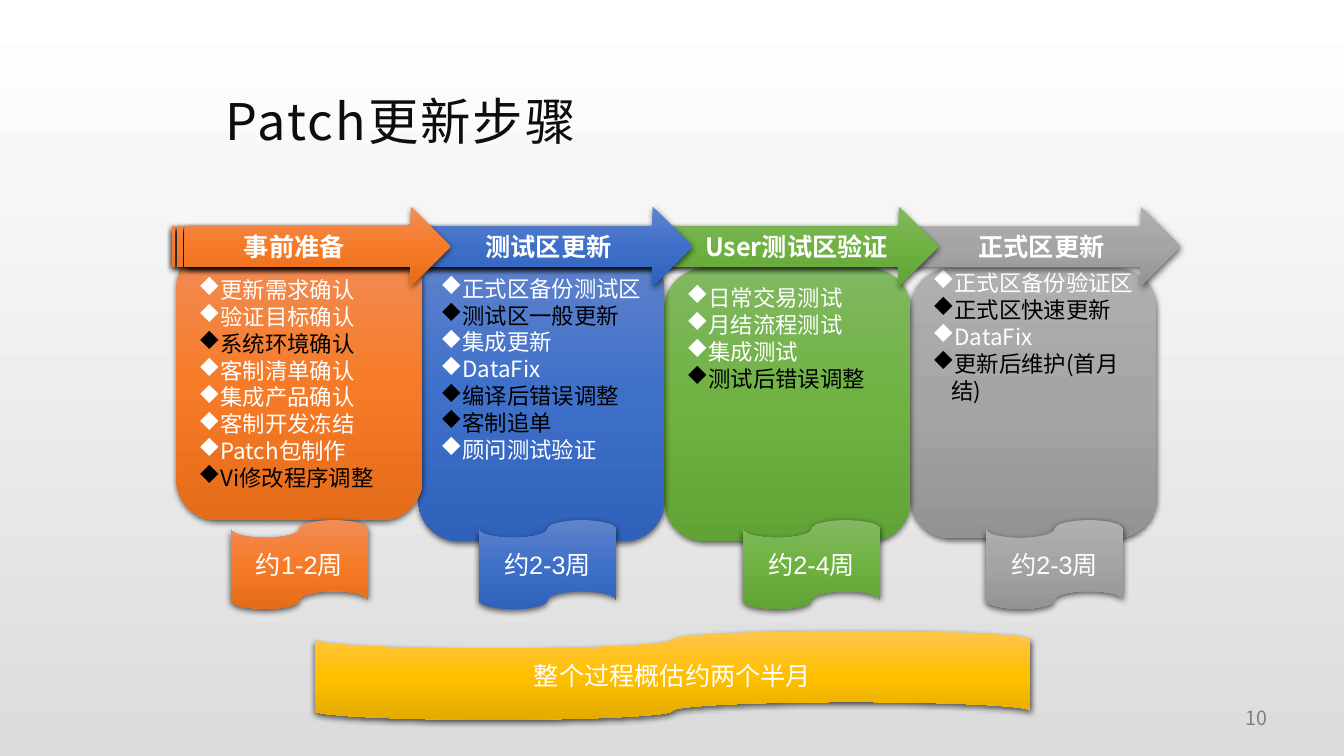
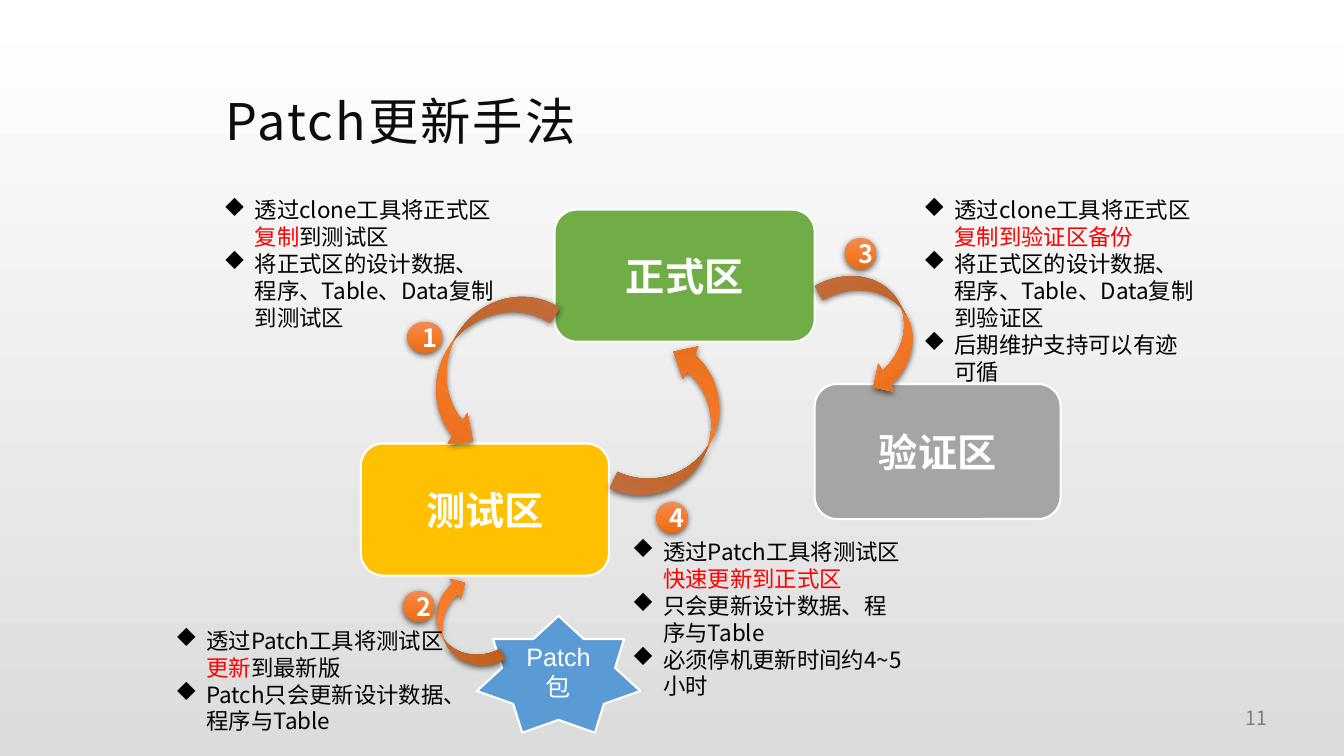
from lxml import etree
from pptx import Presentation
from pptx import util as u
from pptx.dml.color import RGBColor
from pptx.enum import shapes, text
from pptx.oxml.ns import qn

W, H = 13.33, 7.5
SC, TC, ARIAL = "Noto Sans CJK SC", "Noto Sans CJK TC", "Arial"
LINE = 0.265
C = {
    "white": "FFFFFF", "black": "000000", "ink": "0D0D0D", "red": "FF0000",
    "muted": "7F7F7F", "page": "DCDCDC", "green": "70AD47",
    "amber": "FFC000", "grey": "A5A5A5", "blue": "5B9BD5",
}
GRAD = {
    "page": [C["white"], C["page"]],
    "orange": ["F18C57", "F67B28", "E56C19"],
    "blue": ["6183CB", "3E70CA", "3062BB"],
    "green": ["81B861", "6FB242", "62A336"],
    "grey": ["AFAFAF", "A5A5A5", "939393"],
    "amber": ["FFC64B", "FFC000", "E3AB00"],
}
S = shapes.MSO_SHAPE
AL = text.PP_ALIGN
MIDDLE = text.MSO_ANCHOR.MIDDLE

STEPS = [
    dict(name="事前准备", color="orange", card=(0.04, 0.4, 2.71), tip=2.76, label=1.21,
         tape=0.58, time="约1-2周", spare=0,
         items=["更新需求确认", "验证目标确认", "|系统环境确认", "客制清单确认",
                "集成产品确认", "客制开发冻结", "Patch包制作", "|Vi修改程序调整"]),
    dict(name="测试区更新", color="blue", card=(0, 0.43, 2.89), tip=5.16, label=1.29,
         tape=0.6, time="约2-3周", spare=2,
         items=["正式区备份测试区", "|测试区一般更新", "集成更新", "DataFix",
                "|编译后错误调整", "|客制追单", "顾问测试验证"]),
    dict(name="User测试区验证", color="green", card=(0, 0.61, 2.71), tip=7.6, label=1.31,
         tape=0.78, time="约2-4周", spare=5,
         items=["日常交易测试", "月结流程测试", "集成测试", "|测试后错误调整"]),
    dict(name="正式区更新", color="grey", card=(0, 0.61, 2.68), tip=10, label=1.3,
         tape=0.75, time="约2-3周", spare=5,
         items=["正式区备份验证区", "|正式区快速更新", "DataFix", "|更新后维护(首月结)"]),
]

ZONES = [
    ("正式区", "green", (3.9, 0.18, 2.58, 1.31)),
    ("测试区", "amber", (1.98, 2.5, 2.46, 1.31)),
    ("验证区", "grey", (6.48, 1.91, 2.44, 1.34)),
]
ARROWS = [
    (S.CURVED_RIGHT_ARROW, (2.82, 0.82, 0.71, 1.76), 33, 0.28),
    (S.CURVED_RIGHT_ARROW, (4.77, 1.5, 0.71, 1.67), 205, 0.28),
    (S.CURVED_LEFT_ARROW, (6.77, 0.69, 0.64, 1.32), 330, 0.25),
    (S.CURVED_DOWN_ARROW, (2.5, 4.09, 0.97, 0.45), 242, 0.25),
]
NOTES = [
    ((2.44, 1.29, 0.35), (0.52, 0, 1.45),
     ["透过clone工具将正式区|复制|到测试区",
      "将正式区的设计数据、程序、Table、Data复制到测试区"]),
    ((2.4, 3.96, 0.31), (0.04, 4.27, 1.45),
     ["透过Patch工具将测试区|更新|到最新版",
      "Patch只会更新设计数据、程序与Table"]),
    ((6.78, 0.46, 0.31), (7.46, 0, 1.98),
     ["透过clone工具将正式区|复制到验证区备份",
      "将正式区的设计数据、程序、Table、Data复制到验证区",
      "后期维护支持可以有迹可循"]),
    ((4.91, 3.08, 0.31), (4.57, 3.39, 1.72),
     ["透过Patch工具将测试区|快速更新到正式区",
      "只会更新设计数据、程序与Table",
      "必须停机更新时间约4~5小时"]),
]


def rgb(value):
    return RGBColor.from_string(value)


def inches(box):
    return [u.Inches(v) for v in box]


def within(area, x, y, w, h):
    return area[0] + x, area[1] + y, w, h


def gradient(fill, element, colors):
    fill.gradient()
    fill.gradient_angle = 270
    stops = next(element.iter(qn("a:gsLst")))
    for stop in list(stops):
        stops.remove(stop)
    for i, color in enumerate(colors):
        pos = str(i * 100000 // (len(colors) - 1))
        stop = etree.SubElement(stops, qn("a:gs"), pos=pos)
        etree.SubElement(stop, qn("a:srgbClr"), val=color)


def add_shadow(sp):
    effects = sp._element.spPr.find(qn("a:effectLst"))
    outer = etree.SubElement(effects, qn("a:outerShdw"), blurRad=str(u.Pt(4.5)),
                             dist=str(u.Pt(1.5)), dir="5400000", algn="ctr",
                             rotWithShape="0")
    color = etree.SubElement(outer, qn("a:srgbClr"), val=C["black"])
    etree.SubElement(color, qn("a:alpha"), val="63000")


def format_run(r, size, color, font=TC, bold=False, spacing=0):
    values = {"size": u.Pt(size), "bold": bold, "name": font}
    for key, value in values.items():
        setattr(r.font, key, value)
    r.font.color.rgb = rgb(color)
    rpr = r._r.get_or_add_rPr()
    etree.SubElement(rpr, qn("a:ea"), typeface=SC if font == ARIAL else font)
    if spacing:
        rpr.set("spc", str(spacing))


def set_frame(tf, insets=(0.1, 0.05, 0.1, 0.05), anchor=text.MSO_ANCHOR.TOP, wrap=True):
    sides = ("margin_left", "margin_top", "margin_right", "margin_bottom")
    values = dict(zip(sides, inches(insets)))
    values.update(word_wrap=wrap, vertical_anchor=anchor, auto_size=text.MSO_AUTO_SIZE.NONE)
    for key, value in values.items():
        setattr(tf, key, value)


def write(tf, line, size, color, align=AL.CENTER, **fmt):
    p = tf.paragraphs[0]
    p.alignment = align
    r = p.add_run()
    r.text = line
    format_run(r, size, color, **fmt)
    return p


def write_list(tf, items, color, accent, indent):
    for i, item in enumerate(items):
        p = tf.paragraphs[0] if i == 0 else tf.add_paragraph()
        p.alignment = AL.LEFT
        ppr = p._p.get_or_add_pPr()
        ppr.set("marL", str(u.Inches(indent)))
        ppr.set("indent", str(-u.Inches(indent)))
        etree.SubElement(ppr, qn("a:buFont"), typeface="Wingdings")
        etree.SubElement(ppr, qn("a:buChar"), char="u")
        for k, part in enumerate(item.split("|")):
            if part:
                r = p.add_run()
                r.text = part
                format_run(r, 16, accent if k % 2 else color)


def add_block(sl, kind, box, fill, glossy=True):
    sp = sl.shapes.add_shape(kind, *inches(box))
    sp.shadow.inherit = False
    if glossy:
        gradient(sp.fill, sp._element, GRAD[fill])
        sp.line.fill.background()
        add_shadow(sp)
    else:
        sp.fill.solid()
        sp.fill.fore_color.rgb = rgb(C[fill])
        sp.line.color.rgb = rgb(C["white"])
        sp.line.width = u.Pt(1.5)
    set_frame(sp.text_frame, anchor=MIDDLE)
    return sp


def add_text(sl, box):
    tf = sl.shapes.add_textbox(*inches(box)).text_frame
    set_frame(tf)
    return tf


def add_page(prs, title, number, font):
    sl = prs.slides.add_slide(prs.slide_layouts[5])
    sp = sl.shapes.title
    sp.left, sp.top, sp.width, sp.height = inches((2.13, 0.5, 8.56, 1.2))
    set_frame(sp.text_frame, (0.11, 0, 0.09, 0), MIDDLE)
    p = write(sp.text_frame, title, 36, C["ink"], AL.LEFT, font=font, spacing=150)
    p.line_spacing, p.space_after = 1.3, u.Pt(10)
    tf = add_text(sl, (W - 3.77, H - 0.55, 3.11, 0.4))
    write(tf, number, 14, C["muted"], AL.RIGHT)
    return sl


def add_tape(sl, box, color, label):
    sp = add_block(sl, S.FLOWCHART_PUNCHED_TAPE, box, color)
    write(sp.text_frame, label, 18, C["white"], font=ARIAL)


def add_process(sl, area):
    col = 2.44
    steps = list(enumerate(STEPS))
    for i, step in reversed(steps):
        dx, top, height = step["card"]
        sp = add_block(sl, S.ROUNDED_RECTANGLE,
                       within(area, i * col + dx, top, col, height), step["color"])
        set_frame(sp.text_frame, (0.1, 0.05, 0.1, 0.05 + step["spare"] * LINE), MIDDLE)
        write_list(sp.text_frame, step["items"], C["white"], C["black"], 0.19)
    for i, step in reversed(steps):
        add_block(sl, S.STRIPED_RIGHT_ARROW, within(area, 0, 0, step["tip"], 0.79),
                  step["color"])
    for i, step in steps:
        tf = add_text(sl, within(area, i * col + step["label"] - 1.05, 0.2, 2.1, 0.4))
        write(tf, step["name"], 18, C["white"], bold=True)
        add_tape(sl, within(area, i * col + step["tape"], 3.11, 1.36, 0.88),
                 step["color"], step["time"])
    add_tape(sl, within(area, 1.41, 4.21, 7.1, 0.88), "amber", "整个过程概估约两个半月")


def add_note(sl, area, number, badge, note, items):
    x, y, width = badge
    sp = add_block(sl, S.OVAL, within(area, x, y, width, 0.31), "orange")
    set_frame(sp.text_frame, (0.1, 0, 0, 0), MIDDLE, wrap=False)
    write(sp.text_frame, str(number), 18, C["white"], bold=True)
    x, y, height = note
    tf = add_text(sl, within(area, x, y, 2.89, height))
    write_list(tf, items, C["black"], C["red"], 0.31)


def add_cycle(sl, area):
    for name, color, box in ZONES:
        sp = add_block(sl, S.ROUNDED_RECTANGLE, within(area, *box), color, glossy=False)
        write(sp.text_frame, name, 28, C["white"], font=ARIAL, bold=True)
    star = add_block(sl, S.STAR_7_POINT, within(area, 3.13, 4.21, 1.62, 1.16), "blue",
                     glossy=False)
    write(star.text_frame, "Patch包", 18, C["white"], font=ARIAL)
    for kind, box, angle, head in ARROWS:
        sp = add_block(sl, kind, within(area, *box), "orange")
        sp.rotation = angle
        sp.adjustments[2] = head
    for number, (badge, note, items) in enumerate(NOTES, 1):
        add_note(sl, area, number, badge, note, items)


def main():
    prs = Presentation()
    prs.slide_width, prs.slide_height = u.Inches(W), u.Inches(H)
    master = prs.slide_master
    gradient(master.background.fill, master._element, GRAD["page"])
    add_process(add_page(prs, "Patch更新步骤", "10", TC), (1.71, 2.05))
    add_cycle(add_page(prs, "Patch更新手法", "11", SC), (1.6, 1.9))
    prs.save("out.pptx")


if __name__ == "__main__":
    main()
